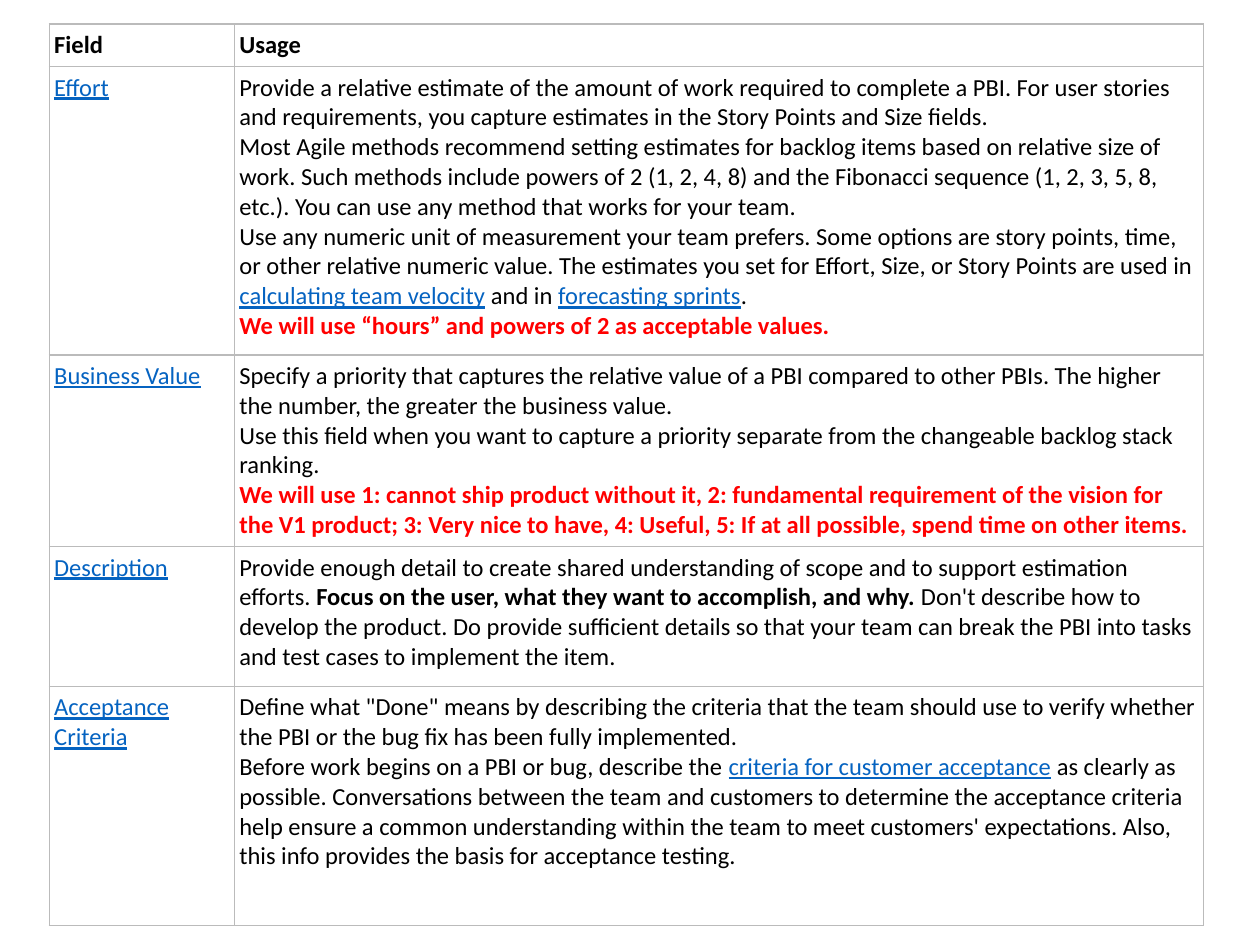
from lxml.etree import SubElement as Sub
from pptx import Presentation
from pptx.dml.color import RGBColor as RGB
from pptx.oxml.ns import qn
from pptx.util import Inches, Pt

INK = {"text": "000000", "link": "0563C1", "alert": "FF0000",
       "rule": "BBBBBB", "back": "FFFFFF"}
LOOKS = {
    "plain": ("text", False, False),
    "bold": ("text", True, False),
    "link": ("link", False, True),
    "alert": ("alert", True, False),
}
BREAK = ("break", "")

ROWS = [
    (0.33, [[("bold", "Field")]], [[("bold", "Usage")]]),
    (2.29, [[("link", "Effort")]], [
        [("plain", "Provide a relative estimate of the amount of work required to complete a PBI. "
          "For user stories and requirements, you capture estimates in the Story Points and Size fields.")],
        [("plain", "Most Agile methods recommend setting estimates for backlog items based on relative "
          "size of work. Such methods include powers of 2 (1, 2, 4, 8) and the Fibonacci sequence "
          "(1, 2, 3, 5, 8, etc.). You can use any method that works for your team.")],
        [("plain", "Use any numeric unit of measurement your team prefers. Some options are story points, "
          "time, or other relative numeric value. The estimates you set for Effort, Size, or Story Points "
          "are used in "),
         ("link", "calculating team velocity"),
         ("plain", " and in "),
         ("link", "forecasting sprints"),
         ("plain", ".")],
        [("alert", "We will use “hours” and powers of 2 as acceptable values.")],
    ]),
    (1.52, [[("link", "Business Value")]], [
        [("plain", "Specify a priority that captures the relative value of a PBI compared to other PBIs. "
          "The higher the number, the greater the business value."),
         BREAK,
         ("plain", "Use this field when you want to capture a priority separate from the changeable "
          "backlog stack ranking.")],
        [("alert", "We will use 1: cannot ship product without it, 2: fundamental requirement of the "
          "vision for the V1 product; 3: Very nice to have, 4: Useful, 5: If at all possible, spend "
          "time on other items.")],
    ]),
    (1.11, [[("link", "Description")]], [
        [("plain", "Provide enough detail to create shared understanding of scope and to support "
          "estimation efforts. "),
         ("bold", "Focus on the user, what they want to accomplish, and why."),
         ("plain", " Don't describe how to develop the product. Do provide sufficient details so that "
          "your team can break the PBI into tasks and test cases to implement the item.")],
    ]),
    (1.9, [[("link", "Acceptance Criteria")]], [
        [("plain", "Define what \"Done\" means by describing the criteria that the team should use to "
          "verify whether the PBI or the bug fix has been fully implemented."),
         BREAK,
         ("plain", "Before work begins on a PBI or bug, describe the "),
         ("link", "criteria for customer acceptance"),
         ("plain", " as clearly as possible. Conversations between the team and customers to determine "
          "the acceptance criteria help ensure a common understanding within the team to meet "
          "customers' expectations. Also, this info provides the basis for acceptance testing.")],
    ]),
]
COLS = [1.47, 7.69]
LEFT, TOP = 0.39, 0.19


def add_run(para, look, text):
    if look == "break":
        para.add_line_break()
        return
    ink, bold, under = LOOKS[look]
    run = para.add_run()
    run.text = text
    font = run.font
    font.name, font.size = "Calibri", Pt(14)
    font.bold, font.underline = bold, under
    font.color.rgb = RGB.from_string(INK[ink])


def style_cell(cell):
    cell.margin_left = cell.margin_right = Inches(0.04)
    cell.margin_top = cell.margin_bottom = Inches(0.05)
    props = cell._tc.get_or_add_tcPr()
    for side in "LRTB":
        line = Sub(props, qn("a:ln" + side), w=str(Pt(0.75)))
        fill = Sub(line, qn("a:solidFill"))
        Sub(fill, qn("a:srgbClr"), val=INK["rule"])
    cell.fill.solid()
    cell.fill.fore_color.rgb = RGB.from_string(INK["back"])


def fill_cell(cell, paras):
    style_cell(cell)
    frame = cell.text_frame
    for i, runs in enumerate(paras):
        para = frame.add_paragraph() if i else frame.paragraphs[0]
        for look, text in runs:
            add_run(para, look, text)


def main():
    deck = Presentation()
    deck.slide_width, deck.slide_height = Inches(10), Inches(7.5)
    slide = deck.slides.add_slide(deck.slide_layouts[6])
    high = sum(row[0] for row in ROWS)
    table = slide.shapes.add_table(
        len(ROWS), len(COLS), Inches(LEFT), Inches(TOP),
        Inches(sum(COLS)), Inches(high)).table
    for col, wide in zip(table.columns, COLS):
        col.width = Inches(wide)
    for row, (tall, *cells) in zip(table.rows, ROWS):
        row.height = Inches(tall)
        for cell, paras in zip(row.cells, cells):
            fill_cell(cell, paras)
    deck.save("out.pptx")


if __name__ == "__main__":
    main()
